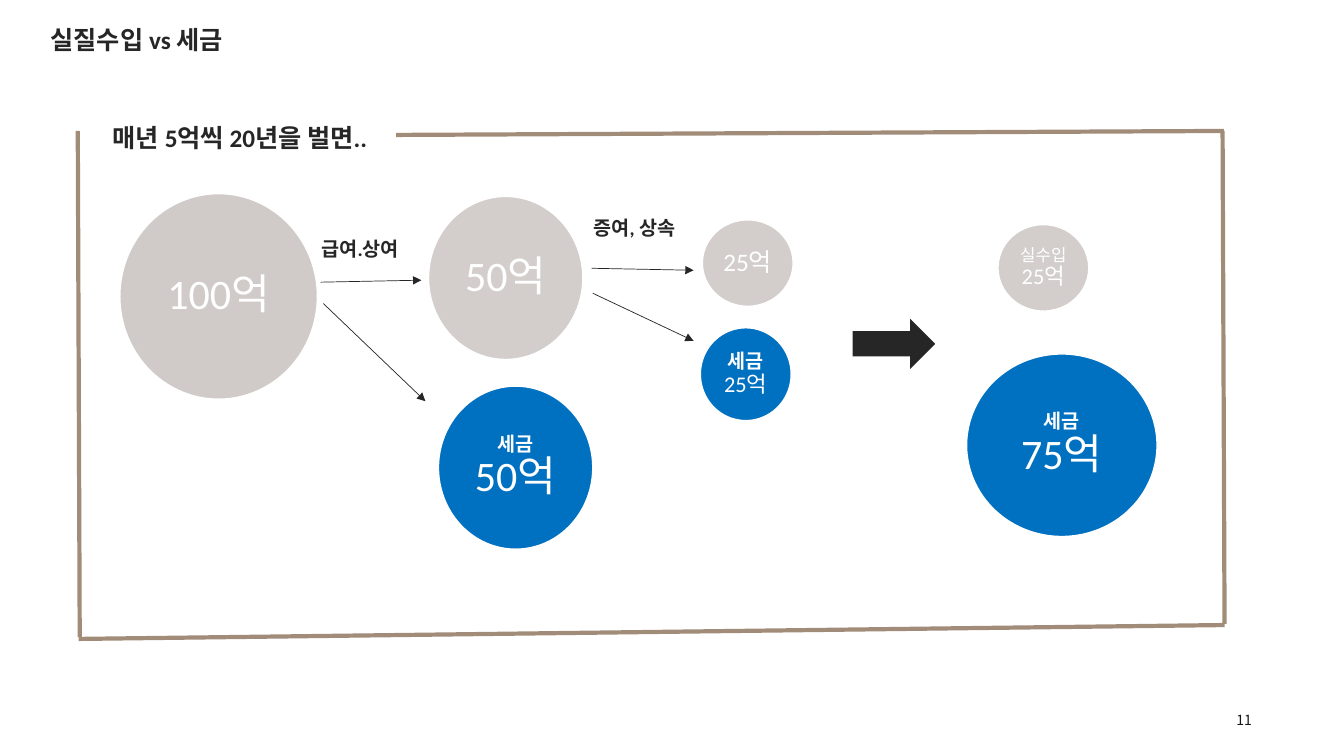
from dataclasses import dataclass

from lxml import etree
from pptx import Presentation
from pptx.dml.color import RGBColor
from pptx.enum.shapes import MSO_CONNECTOR, MSO_SHAPE
from pptx.enum.text import MSO_ANCHOR, PP_ALIGN
from pptx.oxml.ns import qn
from pptx.util import Cm, Pt

STRAIGHT = MSO_CONNECTOR.STRAIGHT
ELLIPSE, RIGHT_ARROW = MSO_SHAPE.OVAL, MSO_SHAPE.RIGHT_ARROW
TOP, MIDDLE = MSO_ANCHOR.TOP, MSO_ANCHOR.MIDDLE
LEFT, CENTER, RIGHT = PP_ALIGN.LEFT, PP_ALIGN.CENTER, PP_ALIGN.RIGHT
TITLE_ONLY = 5


@dataclass(frozen=True)
class Theme:
    latin: str = "Calibri"
    korean: str = "Noto Sans CJK KR"
    ink: str = "262626"
    page_ink: str = "171717"
    white: str = "FFFFFF"
    income: str = "BFB8B5"
    tax: str = "0070C0"
    frame: str = "A08C78"
    heading: float = 18
    label: float = 14
    page: float = 10
    big: float = 30
    medium: float = 18
    small: float = 16
    caption: float = 12


THEME = Theme()


@dataclass(frozen=True)
class Box:
    left: float
    top: float
    width: float
    height: float

    def lengths(self) -> tuple:
        return Cm(self.left), Cm(self.top), Cm(self.width), Cm(self.height)


@dataclass(frozen=True)
class Words:
    text: str
    size: float
    color: str = THEME.ink
    bold: bool = False
    font: str = THEME.latin


@dataclass(frozen=True)
class Circle:
    box: Box
    lines: tuple
    color: str
    opacity: int = 100


@dataclass(frozen=True)
class Caption:
    box: Box
    words: Words


@dataclass(frozen=True)
class Line:
    start: tuple
    end: tuple


def amount(text: str, size: float) -> Words:
    return Words(text, size, THEME.white)


TAX_LABEL = Words("세금", THEME.label, THEME.white, True)

CIRCLES = (
    Circle(Box(3.02, 4.88, 4.98, 5.18), (amount("100억", THEME.big),), THEME.income, 72),
    Circle(Box(10.8, 4.95, 3.89, 4.11), (amount("50억", THEME.big),), THEME.income, 68),
    Circle(Box(11.05, 9.73, 3.89, 4.11), (TAX_LABEL, amount("50억", THEME.big)), THEME.tax),
    Circle(Box(17.7, 5.54, 2.29, 2.18), (amount("25억", THEME.medium),), THEME.income, 68),
    Circle(Box(17.65, 8.26, 2.29, 2.34), (TAX_LABEL, amount("25억", THEME.small)), THEME.tax),
    Circle(Box(25.15, 5.66, 2.29, 2.18),
           (amount("실수입", THEME.caption), amount("25억", THEME.small)), THEME.income, 68),
    Circle(Box(24.36, 8.92, 4.8, 4.6), (TAX_LABEL, amount("75억", THEME.big)), THEME.tax),
)
FRAME_SIDES = (
    Line((9.98, 3.4), (30.84, 3.3)),
    Line((1.98, 16.1), (30.86, 15.75)),
    Line((1.96, 3.3), (2.01, 16.05)),
    Line((30.81, 3.3), (30.86, 15.72)),
)
FLOWS = (
    Line((8.08, 7.11), (10.62, 7.06)),
    Line((8.15, 7.65), (10.72, 10.11)),
    Line((14.91, 6.76), (17.48, 6.81)),
    Line((14.94, 7.39), (17.48, 8.59)),
)
CAPTIONS = (
    Caption(Box(2.59, 2.97, 9.04, 1.02), Words("매년 5억씩 20년을 벌면..", THEME.heading, bold=True)),
    Caption(Box(7.85, 5.84, 3.3, 0.86), Words("급여.상여", THEME.label, bold=True)),
    Caption(Box(14.71, 5.31, 3.3, 1.45), Words("증여, 상속", THEME.label, bold=True)),
)
TITLE = Caption(Box(1.02, 0.48, 9.04, 1.02), Words("실질수입 vs 세금", THEME.heading, bold=True))
PAGE = Caption(Box(23.93, 17.65, 7.62, 1.02),
               Words("11", THEME.page, THEME.page_ink, font=THEME.korean))
RESULT_ARROW = Box(21.49, 8.03, 2.08, 1.27)


def rgb(color: str) -> RGBColor:
    return RGBColor.from_string(color)


def add_words(paragraph, words: Words, align) -> None:
    paragraph.alignment = align
    run = paragraph.add_run()
    run.text = words.text
    font = run.font
    font.size, font.bold, font.name = Pt(words.size), words.bold, words.font
    font.color.rgb = rgb(words.color)
    latin = run._r.rPr.find(qn("a:latin"))
    east_asian = etree.Element(qn("a:ea"), typeface=THEME.korean)
    latin.addnext(east_asian)


def set_margins(frame, margin) -> None:
    frame.margin_left = frame.margin_right = margin
    frame.margin_top = frame.margin_bottom = margin


def draw_title(slide) -> None:
    title = slide.shapes.title
    title.left, title.top, title.width, title.height = TITLE.box.lengths()
    title.text_frame.vertical_anchor = TOP
    add_words(title.text_frame.paragraphs[0], TITLE.words, LEFT)


def draw_caption(slide, caption: Caption, align=LEFT):
    frame = slide.shapes.add_textbox(*caption.box.lengths()).text_frame
    frame.word_wrap = True
    add_words(frame.paragraphs[0], caption.words, align)
    return frame


def draw_page_number(slide) -> None:
    frame = draw_caption(slide, PAGE, RIGHT)
    frame.vertical_anchor = MIDDLE
    set_margins(frame, 0)
    frame.paragraphs[0].line_spacing = Pt(11.2)


def draw_solid(slide, preset, box: Box, color: str):
    shape = slide.shapes.add_shape(preset, *box.lengths())
    shape.shadow.inherit = False
    shape.fill.solid()
    shape.fill.fore_color.rgb = rgb(color)
    shape.line.fill.background()
    return shape


def draw_circle(slide, circle: Circle) -> None:
    shape = draw_solid(slide, ELLIPSE, circle.box, circle.color)
    shape.line.color.rgb = rgb(THEME.white)
    shape.line.width = Pt(1)
    if circle.opacity < 100:
        fill_color = shape._element.spPr.find(qn("a:solidFill"))[0]
        etree.SubElement(fill_color, qn("a:alpha"), val=str(circle.opacity * 1000))
    frame = shape.text_frame
    frame.word_wrap = False
    frame.vertical_anchor = MIDDLE
    set_margins(frame, Cm(0.05))
    for index, words in enumerate(circle.lines):
        paragraph = frame.add_paragraph() if index else frame.paragraphs[0]
        paragraph.line_spacing = 0.9
        add_words(paragraph, words, CENTER)


def draw_line(slide, line: Line, color: str, width: float, arrow: bool = False) -> None:
    ends = (Cm(value) for value in line.start + line.end)
    connector = slide.shapes.add_connector(STRAIGHT, *ends)
    connector.line.color.rgb = rgb(color)
    connector.line.width = Pt(width)
    if arrow:
        etree.SubElement(connector.line._get_or_add_ln(), qn("a:tailEnd"), type="triangle")
    etree.SubElement(connector._element.spPr, qn("a:effectLst"))


def main() -> None:
    presentation = Presentation()
    presentation.slide_width, presentation.slide_height = Cm(33.87), Cm(19.05)
    slide = presentation.slides.add_slide(presentation.slide_layouts[TITLE_ONLY])
    draw_title(slide)
    for side in FRAME_SIDES:
        draw_line(slide, side, THEME.frame, 3)
    for circle in CIRCLES:
        draw_circle(slide, circle)
    for flow in FLOWS:
        draw_line(slide, flow, THEME.ink, 0.5, arrow=True)
    draw_solid(slide, RIGHT_ARROW, RESULT_ARROW, THEME.ink)
    for caption in CAPTIONS:
        draw_caption(slide, caption)
    draw_page_number(slide)
    presentation.save("out.pptx")


if __name__ == "__main__":
    main()
